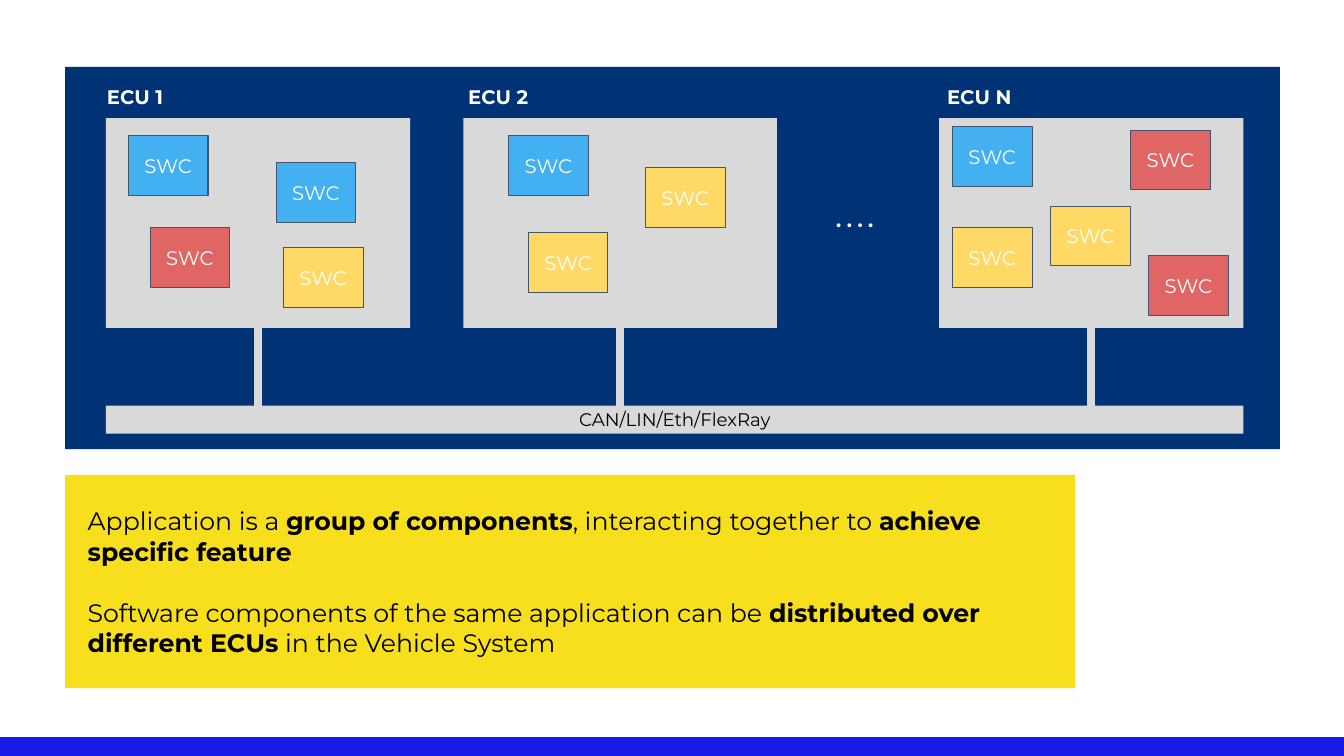
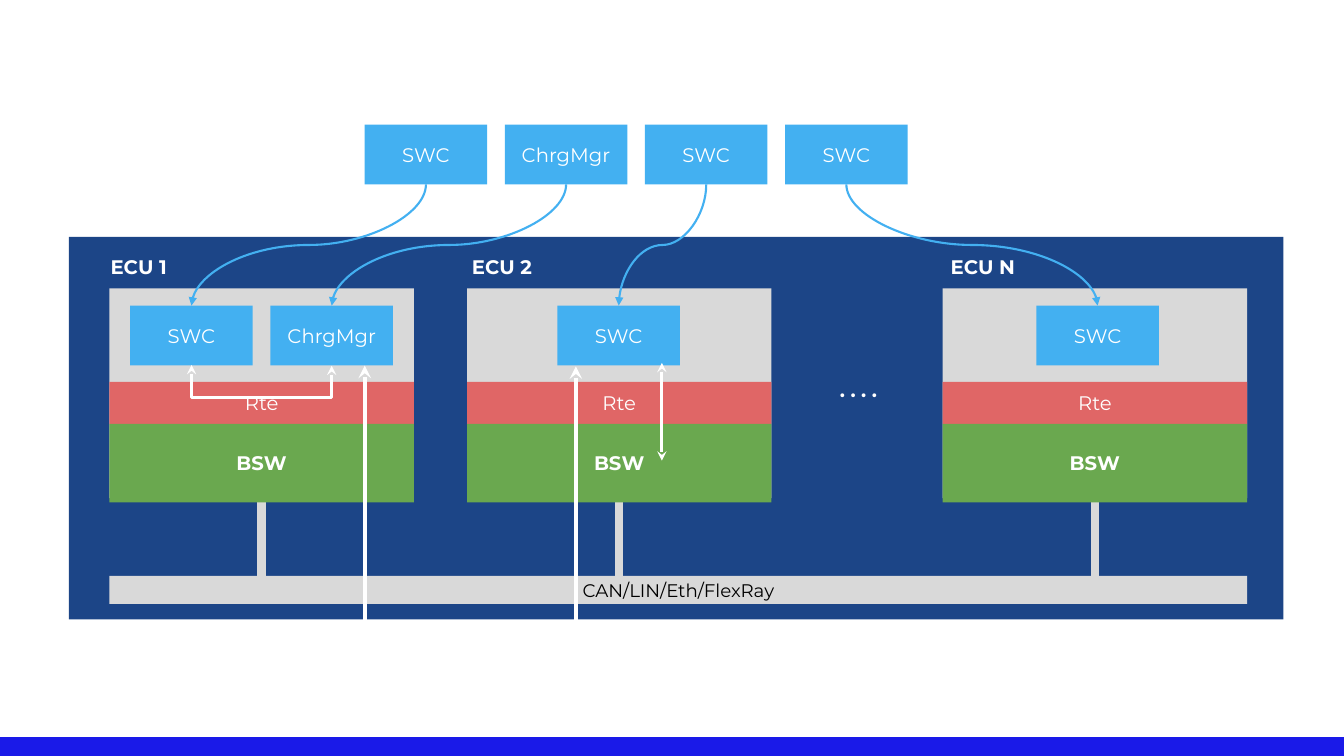
"""Build two slides on software components distributed over ECUs."""
from lxml import etree
from pptx import Presentation
from pptx.dml.color import RGBColor
from pptx.enum.shapes import MSO_CONNECTOR, MSO_SHAPE
from pptx.enum.text import MSO_ANCHOR, PP_ALIGN
from pptx.oxml.ns import qn
from pptx.util import Pt

RECTANGLE = MSO_SHAPE.RECTANGLE
STRAIGHT, ELBOW, CURVE = MSO_CONNECTOR.STRAIGHT, MSO_CONNECTOR.ELBOW, MSO_CONNECTOR.CURVE
LEFT, CENTER = PP_ALIGN.LEFT, PP_ALIGN.CENTER
TOP, MIDDLE = MSO_ANCHOR.TOP, MSO_ANCHOR.MIDDLE

FONT = "Montserrat"
BLACK = RGBColor(0x00, 0x00, 0x00)
WHITE = RGBColor(0xFF, 0xFF, 0xFF)
BAND_BLUE = RGBColor(0x1A, 0x1A, 0xE8)
NAVY = RGBColor(0x00, 0x33, 0x76)
STEEL = RGBColor(0x1C, 0x45, 0x87)
GREY = RGBColor(0xD9, 0xD9, 0xD9)
SKY = RGBColor(0x43, 0xB0, 0xF1)
RED = RGBColor(0xE0, 0x66, 0x66)
AMBER = RGBColor(0xFF, 0xD9, 0x66)
GREEN = RGBColor(0x6A, 0xA8, 0x4F)
YELLOW = RGBColor(0xF7, 0xDF, 0x1E)
SLATE = RGBColor(0x44, 0x54, 0x6A)

ECU_WIDTH, ECU_HEIGHT, ECU_TOP = 217.4, 149.8, 36.7
BUS_TOP, CHIP_HEIGHT = 242, 42.7


def add_box(page, left, top, width, height, text="", fill=None, border=None, size=14,
            color=WHITE, align=CENTER, anchor=MIDDLE, margins=(7.2, 0), gap=0):
    """Add a box; ** toggles bold and a line break starts a paragraph."""
    place = Pt(left), Pt(top), Pt(width), Pt(height)
    if fill is None:
        box = page.shapes.add_textbox(*place)
    else:
        box = page.shapes.add_shape(RECTANGLE, *place)
        box.shadow.inherit = False
        box.fill.solid()
        box.fill.fore_color.rgb = fill
        if border is None:
            box.line.fill.background()
        else:
            box.line.color.rgb = border
            box.line.width = Pt(0.75)
    frame = box.text_frame
    frame.word_wrap = True
    frame.vertical_anchor = anchor
    frame.margin_left, frame.margin_top = Pt(margins[0]), Pt(margins[1])
    frame.margin_right, frame.margin_bottom = Pt(7.2), Pt(margins[1])
    for index, line in enumerate(text.split("\n") if text else []):
        para = frame.add_paragraph() if index else frame.paragraphs[0]
        para.alignment = align
        if index:
            para.space_before = Pt(gap)
        for part, words in enumerate(line.split("**")):
            if words:
                span = para.add_run()
                span.text = words
                span.font.name = FONT
                span.font.size = Pt(size)
                span.font.bold = part % 2 == 1
                span.font.color.rgb = color
    return box


def add_link(page, kind, start, end, color, width, head=None, tail=None, bend=None):
    """Add a connector; bent and curved ones leave and arrive vertically."""
    (x1, y1), (x2, y2) = start, end
    if kind != STRAIGHT:
        across, down = abs(x2 - x1), y2 - y1
        left, top = (x1 + x2 - down) / 2, (y1 + y2 - across) / 2
        x1, y1, x2, y2 = left, top, left + down, top + across
    link = page.shapes.add_connector(kind, Pt(x1), Pt(y1), Pt(x2), Pt(y2))
    link.line.color.rgb = color
    link.line.width = Pt(width)
    properties = link.element.spPr
    if kind != STRAIGHT:
        turn = properties.find(qn("a:xfrm"))
        if end[0] < start[0]:
            turn.set("rot", "5400000")
        else:
            turn.set("rot", "16200000")
            turn.set("flipH", "1")
    if bend:
        guides = properties.find(qn("a:prstGeom")).get_or_add_avLst()
        amount = round(bend / down * 100000)
        etree.SubElement(guides, qn("a:gd"), name="adj1", fmla=f"val {amount}")
    outline = properties.find(qn("a:ln"))
    for tag, style in (("a:headEnd", head), ("a:tailEnd", tail)):
        if style:
            etree.SubElement(outline, qn(tag), type=style)
    etree.SubElement(properties, qn("a:effectLst"))


deck = Presentation()
deck.slide_width, deck.slide_height = Pt(960), Pt(540)
blank = deck.slide_layouts[6]
system_page, mapping_page = [deck.slides.add_slide(blank) for _ in range(2)]

band = add_box(system_page, 0, 526.5, 960, 13.5, fill=BAND_BLUE)
band.element.nvSpPr.cNvPr.set("id", "20")
blank.shapes.element.append(band.element)

for page, left, top, fill, middle_width in (
    (system_page, 46.6, 47.7, NAVY, 224),
    (mapping_page, 49.2, 169.3, STEEL, ECU_WIDTH),
):
    add_box(page, left, top, 867.6, 273.2, fill=fill)
    for name, ecu_left, ecu_width, label_left in (
        ("ECU 1", 29, ECU_WIDTH, 22.7),
        ("ECU 2", 284.4, middle_width, 280.8),
        ("ECU N", 624.2, ECU_WIDTH, 622.8),
    ):
        ecu_x, ecu_y = left + ecu_left, top + ECU_TOP
        add_box(page, ecu_x, ecu_y, ecu_width, ECU_HEIGHT, fill=GREY)
        stem = ecu_x + ecu_width / 2
        add_link(page, STRAIGHT, (stem, ecu_y + ECU_HEIGHT), (stem, top + BUS_TOP), GREY, 6)
        add_box(page, left + label_left, top + 5.8, 86, 25, f"**{name}**",
                align=LEFT, anchor=TOP, margins=(7.2, 7.2))
        if page is mapping_page:
            add_box(page, ecu_x, 272.8, ecu_width, 30, "Rte", fill=RED)
            add_box(page, ecu_x, 302.8, ecu_width, 56, "**BSW**", fill=GREEN)
    add_box(page, left + 29, top + BUS_TOP, 812.6, 20, "CAN/LIN/Eth/FlexRay",
            fill=GREY, size=13, color=BLACK)
    add_box(page, left + 543.6, top + 93.6, 60, 25, "**. . . .**",
            align=LEFT, anchor=TOP, margins=(7.2, 7.2))

for fill, corners in (
    (SKY, ((91.6, 96.9), (197.2, 116.2), (363.2, 96.9), (680.3, 90.7))),
    (RED, ((107.2, 162.7), (807.5, 93), (820.4, 182.7))),
    (AMBER, ((460.9, 119.9), (377.3, 166.3), (202.4, 177), (680.3, 162.7), (750.4, 147.2))),
):
    for left, top in corners:
        add_box(system_page, left, top, 57, CHIP_HEIGHT, "SWC", fill=fill, border=SLATE)

add_box(system_page, 46.6, 339.2, 721.4, 152.4,
        "Application is a **group of components**, interacting together to "
        "**achieve specific feature**\n"
        "Software components of the same application can be "
        "**distributed over different ECUs** in the Vehicle System",
        fill=YELLOW, size=18, color=BLACK, align=LEFT, margins=(16, 3.6), gap=22)

chip_width, source_top, target_top = 87.5, 89, 218.3
for index, (name, target) in enumerate(
    (("SWC", 93), ("ChrgMgr", 193.2), ("SWC", 398.2), ("SWC", 740.3))
):
    source = 260.5 + 100.1 * index
    for left, top in ((source, source_top), (target, target_top)):
        add_box(mapping_page, left, top, chip_width, CHIP_HEIGHT, name, fill=SKY)
    add_link(mapping_page, CURVE, (source + chip_width / 2, source_top + CHIP_HEIGHT),
             (target + chip_width / 2, target_top), SKY, 1.5, tail="triangle")

for kind, start, end, width, bend in (
    (ELBOW, (136.8, 260.8), (236.9, 261.3), 2.25, 22.5),
    (ELBOW, (260.6, 261.2), (411.4, 261.7), 3, 190),
    (STRAIGHT, (472.8, 259.2), (472.8, 329), 2.25, None),
):
    add_link(mapping_page, kind, start, end, WHITE, width, "stealth", "stealth", bend)

deck.save("out.pptx")
